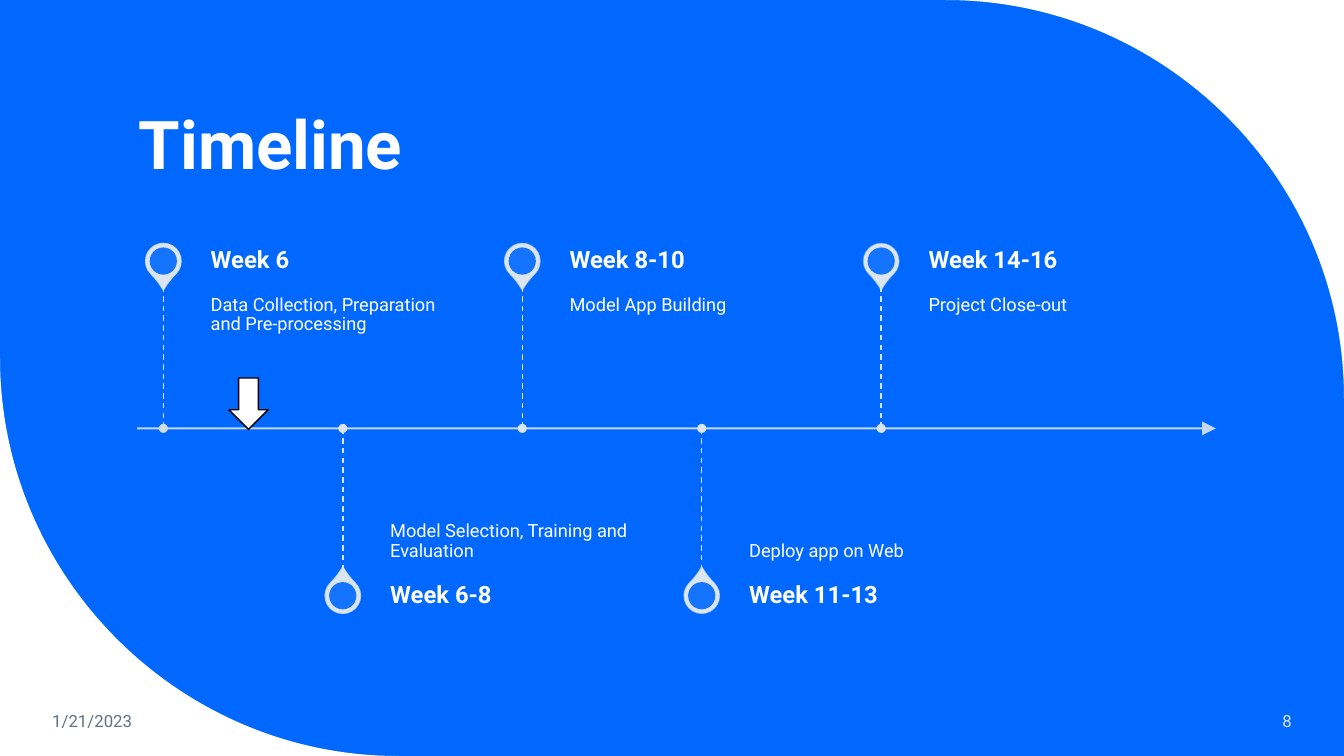
from dataclasses import dataclass

from lxml import etree
from pptx import Presentation
from pptx.dml.color import RGBColor
from pptx.enum.dml import MSO_LINE
from pptx.enum.shapes import MSO_CONNECTOR, MSO_SHAPE
from pptx.enum.text import MSO_ANCHOR, MSO_AUTO_SIZE, PP_ALIGN
from pptx.oxml.ns import qn
from pptx.util import Inches, Pt

STRAIGHT = MSO_CONNECTOR.STRAIGHT
TEARDROP, OVAL, DOWN_ARROW = MSO_SHAPE.TEAR, MSO_SHAPE.OVAL, MSO_SHAPE.DOWN_ARROW
TOP, MIDDLE, BOTTOM = MSO_ANCHOR.TOP, MSO_ANCHOR.MIDDLE, MSO_ANCHOR.BOTTOM
LEFT, RIGHT = PP_ALIGN.LEFT, PP_ALIGN.RIGHT
FIXED_SIZE = MSO_AUTO_SIZE.NONE
DASH = MSO_LINE.DASH

COLORS = {
    "blue": "0068FF",
    "white": "FFFFFF",
    "pale": "DAE5EF",
    "first_dot": "D0DBE4",
    "date": "637183",
    "black": "000000",
}
FONT = "Roboto"
WIDTH, HEIGHT = 13.33, 7.5
CORNER_RADIUS = 3.95
CURVE_FACTOR = 0.55  # Bezier handle length of a quarter circle
AXIS_Y = 4.25
FIRST_X, STEP_X = 1.62, 1.78
STEM = 1.41
PIN, PIN_HOLE, DOT = 0.35, 0.27, 0.09
LABEL_OFFSET, LABEL_WIDTH, WEEK_HEIGHT = 0.47, 2.53, 0.5
DEFAULT_INSETS = (0.1, 0.05, 0.1, 0.05)


@dataclass
class Milestone:
    week: str
    task: str
    above: bool
    outline_alpha: int
    dot_color: str = "pale"


@dataclass
class TextStyle:
    size: float
    color: str = "white"
    bold: bool = False
    anchor: MSO_ANCHOR = MIDDLE
    align: PP_ALIGN = LEFT
    spacing: float = 1.0
    insets: tuple[float, float, float, float] = DEFAULT_INSETS


MILESTONES = [
    Milestone("Week 6", "Data Collection, Preparation and Pre-processing", True, 90, "first_dot"),
    Milestone("Week 6-8", "Model Selection, Training and Evaluation", False, 80),
    Milestone("Week 8-10", "Model App Building", True, 70),
    Milestone("Week 11-13", "Deploy app on Web", False, 60),
    Milestone("Week 14-16", "Project Close-out", True, 50),
]


def rgb(name: str) -> RGBColor:
    return RGBColor.from_string(COLORS[name])


def set_alpha(shape, parent: str, percent: int) -> None:
    for color in shape.element.xpath(f"./p:spPr/{parent}/a:srgbClr"):
        etree.SubElement(color, qn("a:alpha")).set("val", str(percent * 1000))


def paint(shape, fill: str, outline: str | None = None) -> None:
    shape.shadow.inherit = False
    shape.fill.solid()
    shape.fill.fore_color.rgb = rgb(fill)
    if outline:
        shape.line.color.rgb = rgb(outline)
        shape.line.width = Pt(1)
    else:
        shape.line.fill.background()


def add_centered(slide, kind: MSO_SHAPE, x: float, y: float, size: float,
                 fill: str, outline: str | None = None):
    shape = slide.shapes.add_shape(kind, Inches(x - size / 2), Inches(y - size / 2),
                                   Inches(size), Inches(size))
    paint(shape, fill, outline)
    return shape


def add_line(slide, x1: float, y1: float, x2: float, y2: float, width: float):
    line = slide.shapes.add_connector(STRAIGHT, Inches(x1), Inches(y1), Inches(x2), Inches(y2))
    line.line.color.rgb = rgb("pale")
    line.line.width = Pt(width)
    etree.SubElement(line.element.spPr, qn("a:effectLst"))
    return line


def add_text(slide, x: float, y: float, w: float, h: float, text: str, style: TextStyle) -> None:
    frame = slide.shapes.add_textbox(Inches(x), Inches(y), Inches(w), Inches(h)).text_frame
    frame.word_wrap = True
    frame.auto_size = FIXED_SIZE
    frame.vertical_anchor = style.anchor
    (frame.margin_left, frame.margin_top,
     frame.margin_right, frame.margin_bottom) = map(Inches, style.insets)
    paragraph = frame.paragraphs[0]
    paragraph.text = text
    paragraph.alignment = style.align
    paragraph.line_spacing = style.spacing
    font = paragraph.runs[0].font
    font.name, font.size, font.bold = FONT, Pt(style.size), style.bold
    font.color.rgb = rgb(style.color)


def add_corner(slide, corner_x: float, corner_y: float) -> None:
    """Fill the white area between a slide corner and its rounded edge."""
    inner_x, inner_y = abs(corner_x - CORNER_RADIUS), abs(corner_y - CORNER_RADIUS)
    outline = slide.shapes.build_freeform(Inches(corner_x), Inches(corner_y))
    outline.add_line_segments([(Inches(inner_x), Inches(corner_y)),
                               (Inches(corner_x), Inches(inner_y))], close=True)
    corner = outline.convert_to_shape()
    paint(corner, "white")

    # Turn the slanted edge into a quarter circle
    edge = corner.element.xpath(".//a:lnTo")[1]
    edge.tag = qn("a:cubicBezTo")
    left, top = min(inner_x, corner_x), min(inner_y, corner_y)
    handles = [(inner_x + (corner_x - inner_x) * CURVE_FACTOR, corner_y),
               (corner_x, inner_y + (corner_y - inner_y) * CURVE_FACTOR)]
    for position, (x, y) in enumerate(handles):
        point = etree.Element(qn("a:pt"))
        point.set("x", str(Inches(x - left)))
        point.set("y", str(Inches(y - top)))
        edge.insert(position, point)


def add_milestone(slide, x: float, milestone: Milestone) -> None:
    above = milestone.above
    side = -1 if above else 1
    stem_end = AXIS_Y + side * STEM
    pin_y = stem_end + side * WEEK_HEIGHT / 2

    # Pin
    pin = add_centered(slide, TEARDROP, x, pin_y, PIN, "pale", "pale")
    pin.adjustments[0] = 1.15
    pin.rotation = 135 if above else 315
    set_alpha(pin, "a:ln/a:solidFill", milestone.outline_alpha)
    hole = add_centered(slide, OVAL, x, pin_y, PIN_HOLE, "blue")
    set_alpha(hole, "a:solidFill", 90)

    # Task and week
    label_x = x + LABEL_OFFSET
    task_style = TextStyle(13, anchor=TOP if above else BOTTOM, spacing=0.9,
                           insets=(0, 0.09, 0.09, 0.14) if above else (0, 0.14, 0, 0.09))
    add_text(slide, label_x, min(AXIS_Y, stem_end), LABEL_WIDTH, STEM, milestone.task, task_style)
    week_style = TextStyle(17, bold=True, spacing=0.9, insets=(0, 0, 0.12, 0))
    week_y = stem_end - WEEK_HEIGHT if above else stem_end
    add_text(slide, label_x, week_y, LABEL_WIDTH, WEEK_HEIGHT, milestone.week, week_style)

    # Stem and dot on the axis
    stem = add_line(slide, x, min(AXIS_Y, stem_end), x, max(AXIS_Y, stem_end), 1)
    stem.line.dash_style = DASH
    add_centered(slide, OVAL, x, AXIS_Y, DOT, milestone.dot_color)


def main() -> None:
    prs = Presentation()
    prs.slide_width, prs.slide_height = Inches(WIDTH), Inches(HEIGHT)
    slide = prs.slides.add_slide(prs.slide_layouts[6])

    # Background with two rounded corners
    slide.background.fill.solid()
    slide.background.fill.fore_color.rgb = rgb("blue")
    add_corner(slide, WIDTH, 0)
    add_corner(slide, 0, HEIGHT)

    # Title
    add_text(slide, 1.28, 0.42, 10.69, 1.45, "Timeline",
             TextStyle(48, bold=True, anchor=BOTTOM, spacing=0.9))

    # Time axis
    axis = add_line(slide, 1.36, AXIS_Y, 12.06, AXIS_Y, 1.5)
    set_alpha(axis, "a:ln/a:solidFill", 90)
    arrowhead = etree.SubElement(axis.element.xpath("./p:spPr/a:ln")[0], qn("a:tailEnd"))
    for name, value in (("type", "triangle"), ("w", "lg"), ("len", "lg")):
        arrowhead.set(name, value)

    # Milestones
    for index, milestone in enumerate(MILESTONES):
        add_milestone(slide, FIRST_X + index * STEP_X, milestone)

    # Date and slide number
    add_text(slide, 0.42, 6.95, 1.86, 0.4, "1/21/2023", TextStyle(12, "date"))
    add_text(slide, 11.1, 6.95, 1.81, 0.4, "8", TextStyle(12, "pale", align=RIGHT))

    # Current position
    today = slide.shapes.add_shape(DOWN_ARROW, Inches(2.27), Inches(3.75),
                                   Inches(0.39), Inches(0.51))
    paint(today, "white", "black")

    prs.save("out.pptx")


if __name__ == "__main__":
    main()
